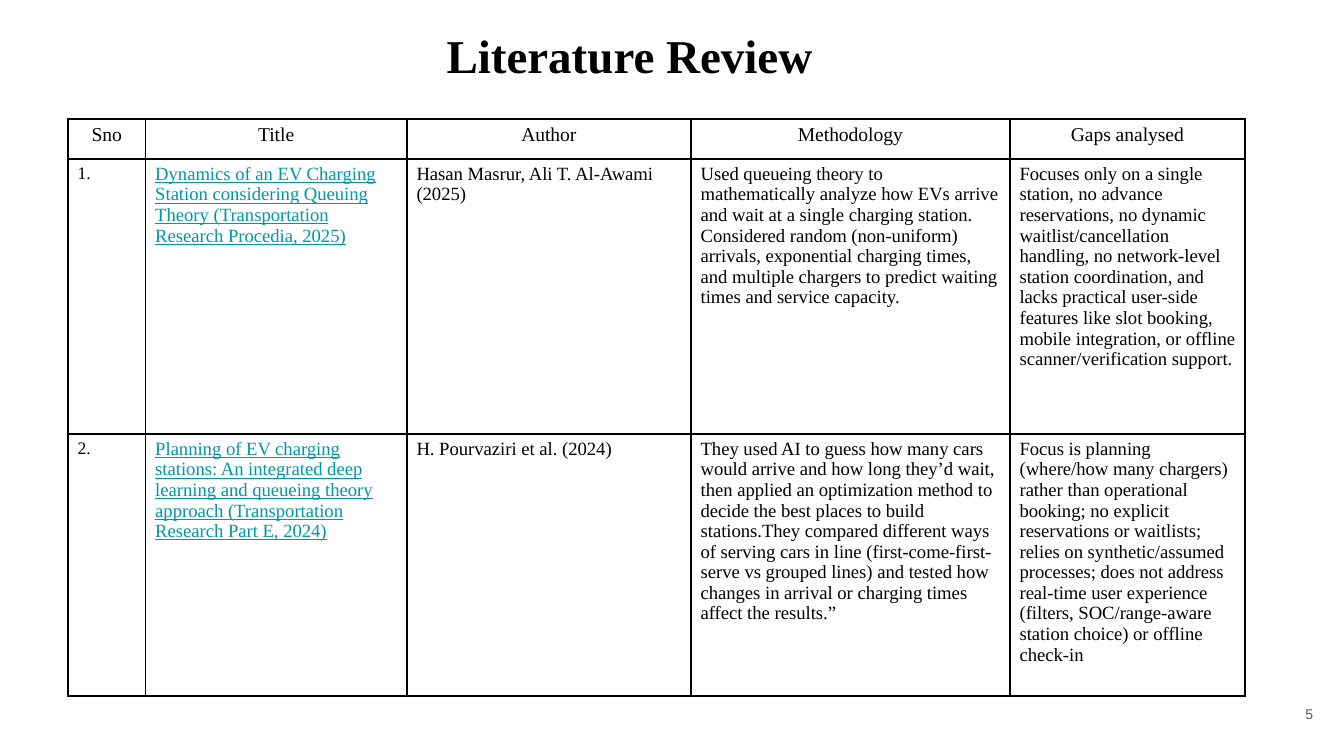
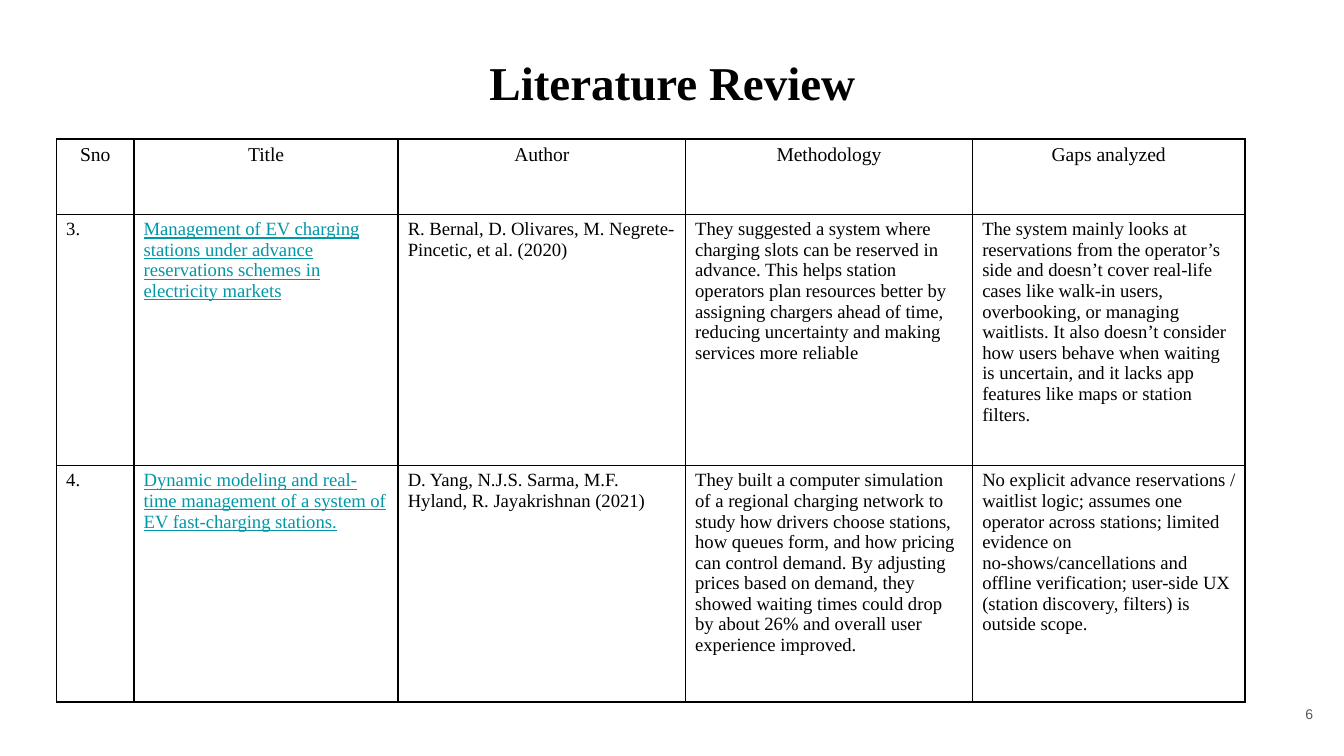
from dataclasses import dataclass

from lxml import etree
from pptx import Presentation
from pptx.dml.color import RGBColor
from pptx.enum import text as t
from pptx.oxml import ns
from pptx.util import Pt

BLACK = RGBColor(0x00, 0x00, 0x00)
LINK = RGBColor(0x00, 0x97, 0xA7)
GREY = RGBColor(0x59, 0x59, 0x59)
SERIF = "Times New Roman"
CENTER, LEFT, RIGHT = t.PP_ALIGN.CENTER, t.PP_ALIGN.LEFT, t.PP_ALIGN.RIGHT

TITLE_FONT = {"name": SERIF, "size": Pt(25.2), "bold": True}
HEADER_FONT = {"name": SERIF, "size": Pt(10.5), "bold": False}
BODY_FONT = {"name": SERIF, "size": Pt(10), "bold": False}
LINK_FONT = {**BODY_FONT, "underline": True}
NUMBER_FONT = {"name": "Arial", "size": Pt(7.5)}

BOX_FORMAT = {
    "word_wrap": True,
    "auto_size": t.MSO_AUTO_SIZE.NONE,
    **{f"margin_{side}": Pt(7.2) for side in ("left", "top", "right", "bottom")},
}
CELL_FORMAT = {
    "margin_left": Pt(5.2),
    "margin_right": Pt(5.2),
    "margin_top": Pt(2.6),
    "margin_bottom": Pt(2.6),
    "vertical_anchor": t.MSO_ANCHOR.TOP,
}


@dataclass
class Study:
    number: str
    title: str
    author: str
    methodology: str
    gaps: str

    def texts(self) -> list[str]:
        return [self.number, self.title, self.author, self.methodology, self.gaps]


@dataclass
class ReviewPage:
    page_number: str
    title_left: float
    title_top: float
    table_left: float
    table_top: float
    columns: list[float]
    rows: list[float]
    gaps_heading: str
    number_size: float
    studies: list[Study]


REVIEWS = [
    ReviewPage(
        "5", 104.4, 7.2, 36.4, 63.8,
        [41.6, 140, 152.2, 170.9, 125.9], [21.4, 147.3, 140.3],
        "Gaps analysed", 9.4,
        [
            Study(
                "1.",
                "Dynamics of an EV Charging Station considering Queuing Theory "
                "(Transportation Research Procedia, 2025)",
                "Hasan Masrur, Ali T. Al-Awami (2025)",
                "Used queueing theory to mathematically analyze how EVs arrive and wait at "
                "a single charging station. Considered random (non-uniform) arrivals, "
                "exponential charging times, and multiple chargers to predict waiting times "
                "and service capacity.",
                "Focuses only on a single station, no advance reservations, no dynamic "
                "waitlist/cancellation handling, no network-level station coordination, and "
                "lacks practical user-side features like slot booking, mobile integration, "
                "or offline scanner/verification support.",
            ),
            Study(
                "2.",
                "Planning of EV charging stations: An integrated deep learning and queueing "
                "theory approach (Transportation Research Part E, 2024)",
                "H. Pourvaziri et al. (2024)",
                "They used AI to guess how many cars would arrive and how long they’d wait, "
                "then applied an optimization method to decide the best places to build "
                "stations.They compared different ways of serving cars in line "
                "(first-come-first-serve vs grouped lines) and tested how changes in arrival "
                "or charging times affect the results.”",
                "Focus is planning (where/how many chargers) rather than operational "
                "booking; no explicit reservations or waitlists; relies on "
                "synthetic/assumed processes; does not address real-time user experience "
                "(filters, SOC/range-aware station choice) or offline check-in",
            ),
        ],
    ),
    ReviewPage(
        "6", 127.4, 21.6, 30.3, 74.5,
        [41.5, 141.5, 154, 153.8, 145.9], [40.4, 134.5, 126.7],
        "Gaps analyzed", 10,
        [
            Study(
                "3.",
                "Management of EV charging stations under advance reservations schemes in "
                "electricity markets",
                "R. Bernal, D. Olivares, M. Negrete-Pincetic, et al. (2020)",
                "They suggested a system where charging slots can be reserved in advance. "
                "This helps station operators plan resources better by assigning chargers "
                "ahead of time, reducing uncertainty and making services more reliable",
                "The system mainly looks at reservations from the operator’s side and "
                "doesn’t cover real-life cases like walk-in users, overbooking, or managing "
                "waitlists. It also doesn’t consider how users behave when waiting is "
                "uncertain, and it lacks app features like maps or station filters.",
            ),
            Study(
                "4.",
                "Dynamic modeling and real-time management of a system of EV fast-charging "
                "stations.",
                "D. Yang, N.J.S. Sarma, M.F. Hyland, R. Jayakrishnan (2021)",
                "They built a computer simulation of a regional charging network to study "
                "how drivers choose stations, how queues form, and how pricing can control "
                "demand. By adjusting prices based on demand, they showed waiting times "
                "could drop by about 26% and overall user experience improved.",
                "No explicit advance reservations / waitlist logic; assumes one operator "
                "across stations; limited evidence on no-shows/cancellations and offline "
                "verification; user-side UX (station discovery, filters) is outside scope.",
            ),
        ],
    ),
]


def apply(target, values: dict) -> None:
    for name, value in values.items():
        setattr(target, name, value)


def write(frame, words: str, font: dict, color: RGBColor, align) -> None:
    para = frame.paragraphs[0]
    para.alignment = align
    span = para.add_run()
    span.text = words
    apply(span.font, font)
    span.font.color.rgb = color


def add_borders(cell) -> None:
    properties = cell._tc.get_or_add_tcPr()
    for position, side in enumerate(("lnL", "lnR", "lnT", "lnB")):
        line = etree.Element(ns.qn(f"a:{side}"), w=str(Pt(1)))
        fill = etree.SubElement(line, ns.qn("a:solidFill"))
        etree.SubElement(fill, ns.qn("a:srgbClr"), val=str(BLACK))
        properties.insert(position, line)


def add_title(page, review: ReviewPage) -> None:
    title = page.shapes.title
    apply(title, {"left": Pt(review.title_left), "top": Pt(review.title_top),
                  "width": Pt(465.8), "height": Pt(36.7)})
    apply(title.text_frame, {**BOX_FORMAT, "vertical_anchor": t.MSO_ANCHOR.TOP})
    write(title.text_frame, "Literature Review", TITLE_FONT, BLACK, CENTER)


def add_page_number(page, number: str) -> None:
    box = page.shapes.add_textbox(Pt(667.4), Pt(367.2), Pt(43.2), Pt(31))
    apply(box.text_frame, {**BOX_FORMAT, "vertical_anchor": t.MSO_ANCHOR.MIDDLE})
    write(box.text_frame, number, NUMBER_FONT, GREY, RIGHT)


def add_review_table(page, review: ReviewPage) -> None:
    headings = ["Sno", "Title", "Author", "Methodology", review.gaps_heading]
    content = [headings] + [study.texts() for study in review.studies]
    table = page.shapes.add_table(
        len(content), len(headings), Pt(review.table_left), Pt(review.table_top),
        Pt(sum(review.columns)), Pt(sum(review.rows)),
    ).table
    apply(table, {"first_row": False, "horz_banding": False})
    for column, width in zip(table.columns, review.columns):
        column.width = Pt(width)
    for row, height in zip(table.rows, review.rows):
        row.height = Pt(height)

    number_font = {**BODY_FONT, "size": Pt(review.number_size)}
    body_styles = [(number_font, BLACK, LEFT), (LINK_FONT, LINK, LEFT)]
    body_styles += [(BODY_FONT, BLACK, LEFT)] * 3
    header_styles = [(HEADER_FONT, BLACK, CENTER)] * len(headings)
    for r, words_in_row in enumerate(content):
        styles = body_styles if r else header_styles
        for c, (words, style) in enumerate(zip(words_in_row, styles)):
            cell = table.cell(r, c)
            apply(cell, CELL_FORMAT)
            cell.fill.background()
            add_borders(cell)
            write(cell.text_frame, words, *style)


def main() -> None:
    deck = Presentation()
    apply(deck, {"slide_width": Pt(720), "slide_height": Pt(405)})
    title_only = deck.slide_layouts[5]
    for review in REVIEWS:
        page = deck.slides.add_slide(title_only)
        add_title(page, review)
        add_page_number(page, review.page_number)
        add_review_table(page, review)
    deck.save("out.pptx")


if __name__ == "__main__":
    main()
